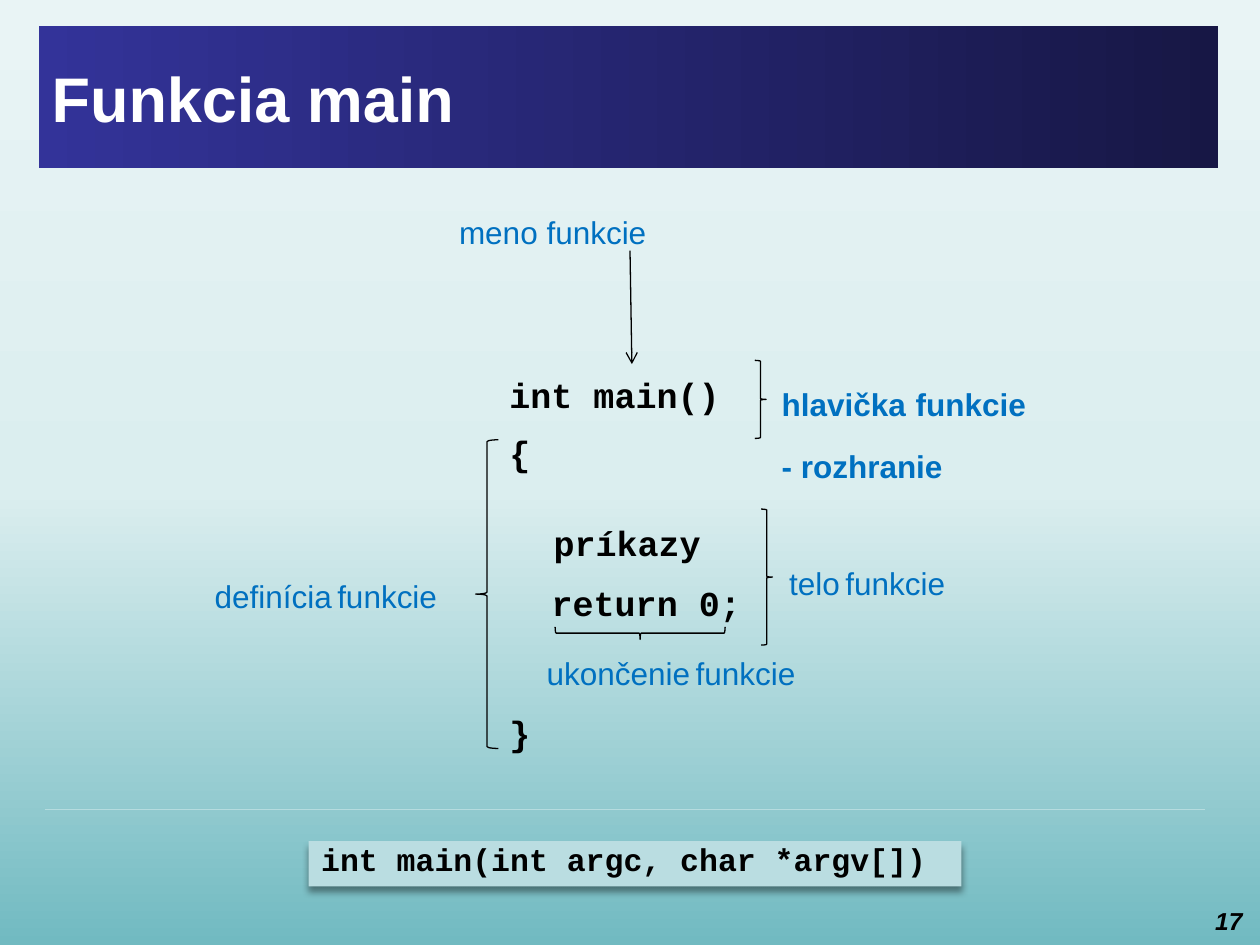
from typing import NamedTuple, Optional

from lxml.etree import SubElement
from pptx import Presentation
from pptx.dml.color import RGBColor
from pptx.dml.fill import FillFormat
from pptx.enum.shapes import MSO_CONNECTOR, MSO_SHAPE
from pptx.enum.text import MSO_ANCHOR, PP_ALIGN
from pptx.oxml.ns import qn
from pptx.text.text import Font
from pptx.util import Inches, Length, Pt

BLACK = RGBColor(0x00, 0x00, 0x00)
WHITE = RGBColor(0xFF, 0xFF, 0xFF)
BLUE = RGBColor(0x00, 0x70, 0xC0)
PALE_TEAL = RGBColor(0xB6, 0xDC, 0xDF)
BOX_TEAL = RGBColor(0xBA, 0xDD, 0xE1)
BACKGROUND_STOPS = [(0, RGBColor(0x71, 0xBA, 0xC1)), (48, RGBColor(0xDB, 0xEE, 0xEF)),
                    (100, RGBColor(0xE9, 0xF4, 0xF5))]
TITLE_STOPS = [(0, RGBColor(0x33, 0x33, 0x99)), (100, RGBColor(0x17, 0x17, 0x45))]

SANS, MONO = "Arial", "Courier New"
SLIDE_WIDTH, SLIDE_HEIGHT = Inches(10), Inches(7.5)
COLUMNS, ROWS = 100, 75
CODE_COLUMN = 39.45
LABEL_ROWS = 6.2


class Box(NamedTuple):
    """A place on the grid, in columns and rows."""
    left: float
    top: float
    width: float
    height: float = LABEL_ROWS

    def lengths(self) -> tuple:
        return (column(self.left), row(self.top), column(self.width), row(self.height))


class Label(NamedTuple):
    lines: list
    box: Box
    bold: bool = False
    space_size: Optional[int] = None  # size of the gap between the words of the first line


class Code(NamedTuple):
    text: str
    box: Box


class Brace(NamedTuple):
    shape_type: MSO_SHAPE
    box: Box
    rotation: int = 0


LABELS = [
    Label(["meno funkcie"], Box(35.45, 15.95, 31.8)),
    Label(["hlavička funkcie", "- rozhranie"], Box(61.05, 29.3, 22.1, 10.2), True, 20),
    Label(["telo funkcie"], Box(61.65, 43.8, 17.4), space_size=11),
    Label(["definícia funkcie"], Box(16.05, 44.85, 22.6), space_size=11),
    Label(["ukončenie funkcie"], Box(42.4, 51, 24.8), space_size=11),
]
CODE_LINES = [
    Code("int main()", Box(CODE_COLUMN, 28.65, 19)),
    Code("{", Box(CODE_COLUMN, 33.25, 4.7, 7.1)),
    Code("príkazy", Box(42.95, 40.4, 14.5)),
    Code("return 0;", Box(42.8, 45.15, 17.5)),
    Code("}", Box(CODE_COLUMN, 55.45, 4.7)),
]
BRACES = [
    Brace(MSO_SHAPE.RIGHT_BRACE, Box(59.9, 28.6, 0.9, 6.2)),
    Brace(MSO_SHAPE.LEFT_BRACE, Box(37.75, 34.9, 1.8, 24.5)),
    Brace(MSO_SHAPE.RIGHT_BRACE, Box(60.4, 40.4, 0.9, 10.8)),
    Brace(MSO_SHAPE.RIGHT_BRACE, Box(50.3, 43.5, 1, 13.5), 90),
]


def column(count: float) -> Length:
    return Length(round(SLIDE_WIDTH * count / COLUMNS))


def row(count: float) -> Length:
    return Length(round(SLIDE_HEIGHT * count / ROWS))


def set_gradient(fill: FillFormat, owner, stops: list, angle: int) -> None:
    fill.gradient()
    fill.gradient_angle = angle
    stop_list = next(owner.iter(qn("a:gsLst")))
    for stop in list(stop_list):
        stop_list.remove(stop)
    for position, color in stops:
        stop = SubElement(stop_list, qn("a:gs"), pos=str(position * 1000))
        SubElement(stop, qn("a:srgbClr"), val=str(color))


def set_font(font: Font, name: str, size: int, color: RGBColor, bold: bool = False) -> None:
    font.name, font.size, font.bold = name, Pt(size), bold
    font.color.rgb = color


def add_text(slide, lines: list, box: Box):
    """Add an unwrapped text box and return its paragraphs."""
    text_frame = slide.shapes.add_textbox(*box.lengths()).text_frame
    text_frame.word_wrap = False
    text_frame.text = "\n".join(lines)
    for paragraph in text_frame.paragraphs:
        paragraph.line_spacing = 1.15
        paragraph.space_after = Pt(10)
    return text_frame.paragraphs


def add_label(slide, label: Label) -> None:
    paragraphs = add_text(slide, label.lines, label.box)
    if label.space_size:
        first_word, second_word = label.lines[0].split(" ")
        paragraphs[0].text = first_word
        for text in (" ", second_word):
            paragraphs[0].add_run().text = text
    for paragraph in paragraphs:
        for run in paragraph.runs:
            size = label.space_size if run.text == " " else 18
            set_font(run.font, SANS, size, BLUE, label.bold)


def add_code(slide, code: Code) -> None:
    for paragraph in add_text(slide, [code.text], code.box):
        set_font(paragraph.runs[0].font, MONO, 20, BLACK, True)


def add_brace(slide, brace: Brace) -> None:
    shape = slide.shapes.add_shape(brace.shape_type, *brace.box.lengths())
    shape.rotation = brace.rotation
    shape.shadow.inherit = False
    shape.fill.background()
    shape.line.color.rgb = BLACK
    shape.line.width = Pt(0.75)


def add_line(slide, start: tuple, end: tuple, color: RGBColor, arrow: bool = False) -> None:
    line = slide.shapes.add_connector(MSO_CONNECTOR.STRAIGHT, column(start[0]), row(start[1]),
                                      column(end[0]), row(end[1]))
    line.line.color.rgb = color
    line.line.width = Pt(0.75)
    properties = line._element.spPr
    if arrow:
        SubElement(properties.find(qn("a:ln")), qn("a:tailEnd"), type="arrow")
    SubElement(properties, qn("a:effectLst"))


def add_signature(slide, text: str, box: Box) -> None:
    shape = slide.shapes.add_shape(MSO_SHAPE.RECTANGLE, *box.lengths())
    shape.shadow.inherit = False
    shape.fill.solid()
    shape.fill.fore_color.rgb = BOX_TEAL
    shape.line.fill.background()
    # Soft shadow below the box
    effects = shape._element.spPr.find(qn("a:effectLst"))
    shadow = SubElement(effects, qn("a:outerShdw"), blurRad=str(Pt(4)), dist=str(Pt(3)),
                        dir="5400000", rotWithShape="0")
    shadow_color = SubElement(shadow, qn("a:srgbClr"), val=str(BLACK))
    SubElement(shadow_color, qn("a:alpha"), val="40000")
    text_frame = shape.text_frame
    text_frame.word_wrap = False
    text_frame.vertical_anchor = MSO_ANCHOR.TOP
    text_frame.text = text
    paragraph = text_frame.paragraphs[0]
    paragraph.alignment = PP_ALIGN.LEFT
    paragraph.line_spacing = 0.8
    set_font(paragraph.runs[0].font, MONO, 18, BLACK, True)


def add_title(slide, text: str, box: Box) -> None:
    title = slide.shapes.title
    title.left, title.top, title.width, title.height = box.lengths()
    set_gradient(title.fill, title._element, TITLE_STOPS, 0)
    title.text_frame.text = text
    title.text_frame.vertical_anchor = MSO_ANCHOR.MIDDLE
    paragraph = title.text_frame.paragraphs[0]
    paragraph.alignment = PP_ALIGN.LEFT
    set_font(paragraph.runs[0].font, SANS, 36, WHITE, True)


def add_slide_number(slide, text: str, box: Box) -> None:
    text_frame = slide.shapes.add_textbox(*box.lengths()).text_frame
    text_frame.word_wrap = True
    text_frame.text = text
    paragraph = text_frame.paragraphs[0]
    paragraph.alignment = PP_ALIGN.RIGHT
    set_font(paragraph.runs[0].font, SANS, 14, BLACK, True)
    paragraph.runs[0].font.italic = True


def main() -> None:
    presentation = Presentation()
    presentation.slide_width, presentation.slide_height = SLIDE_WIDTH, SLIDE_HEIGHT
    slide = presentation.slides.add_slide(presentation.slide_layouts[5])
    set_gradient(slide.background.fill, slide._element, BACKGROUND_STOPS, 90)
    add_title(slide, "Funkcia main", Box(3.1, 2.1, 93.6, 11.2))
    add_slide_number(slide, "17", Box(94.3, 71.4, 5.3, 3.1))
    # Annotated function
    for label in LABELS:
        add_label(slide, label)
    for code in CODE_LINES:
        add_code(slide, code)
    for brace in BRACES:
        add_brace(slide, brace)
    add_line(slide, (50, 19.9), (50.15, 28.9), BLACK, arrow=True)
    # Full signature below the rule
    add_signature(slide, "int main(int argc, char *argv[])", Box(24.5, 66.75, 51.8, 3.6))
    add_line(slide, (3.55, 64.25), (95.65, 64.25), PALE_TEAL)
    presentation.save("out.pptx")


if __name__ == "__main__":
    main()
